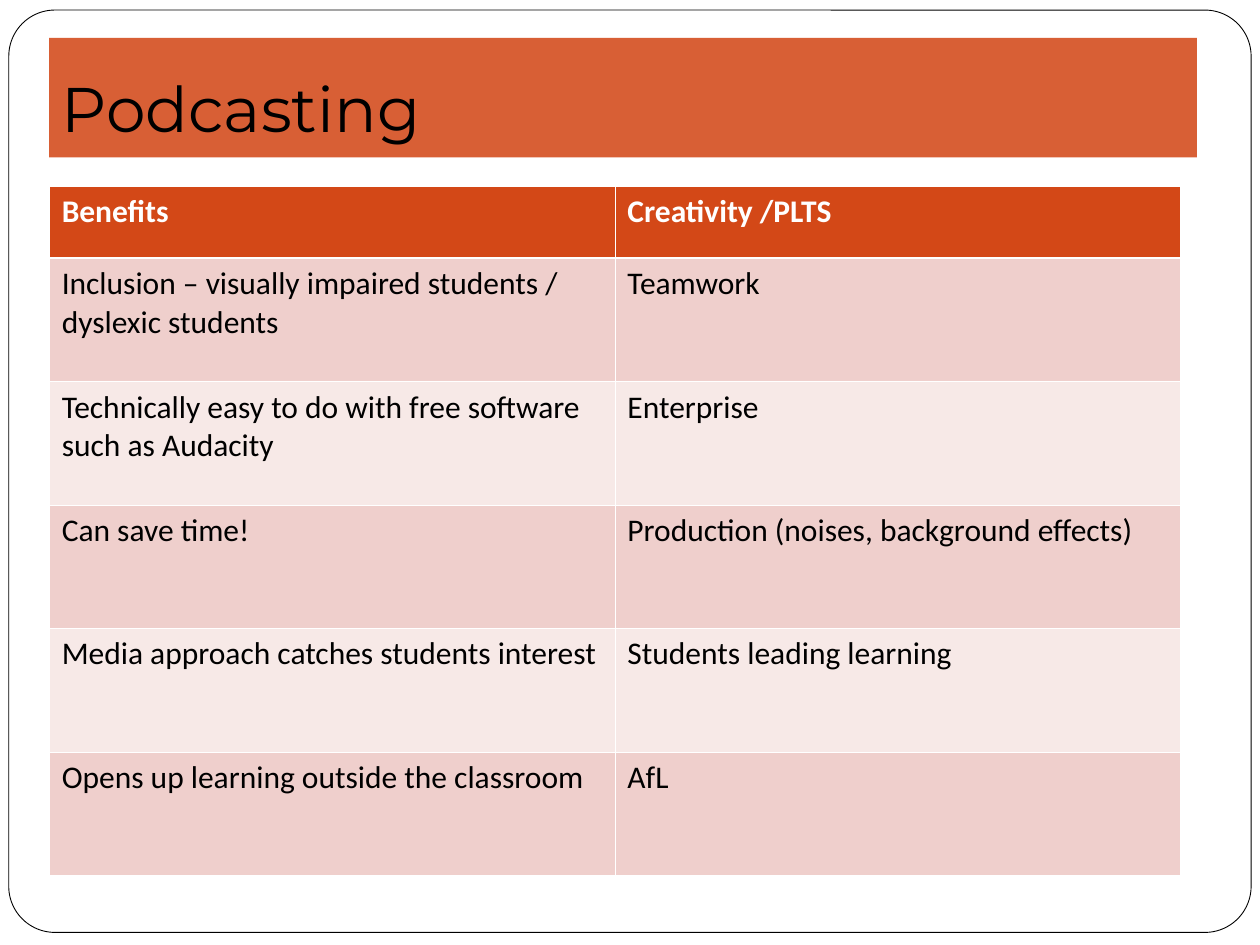
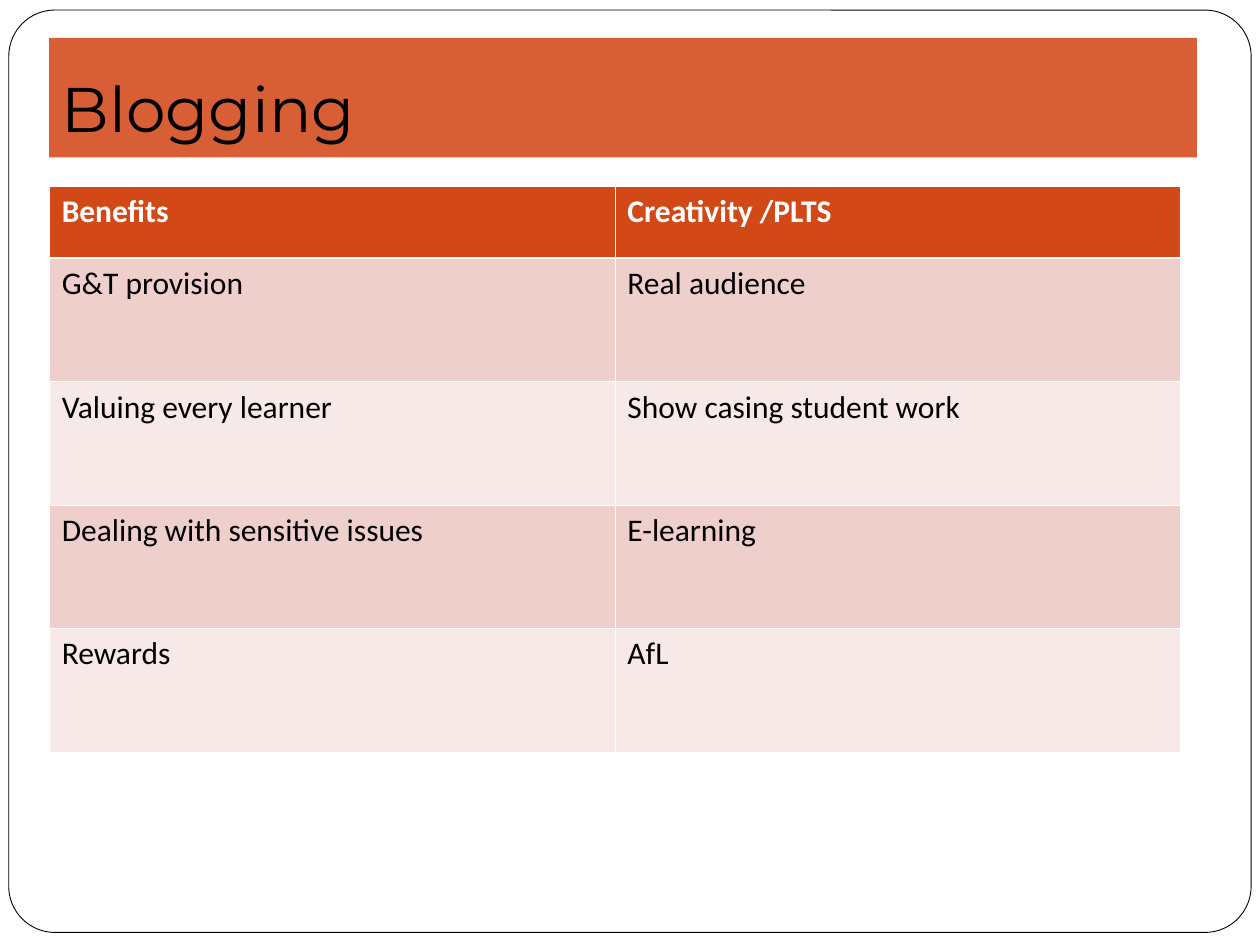
"""Build two slides that set out the benefits of podcasting and blogging."""
import lxml.etree
import pptx
import pptx.dml.color
import pptx.enum.shapes
import pptx.enum.text
import pptx.oxml.ns
import pptx.util

Inches = pptx.util.Inches
Pt = pptx.util.Pt
RGBColor = pptx.dml.color.RGBColor
qn = pptx.oxml.ns.qn

ORANGE = RGBColor(0xD3, 0x48, 0x17)
ROSE = RGBColor(0xEF, 0xCF, 0xCC)
PALE_ROSE = RGBColor(0xF7, 0xE9, 0xE7)
WHITE = RGBColor(0xFF, 0xFF, 0xFF)
BLACK = RGBColor(0x00, 0x00, 0x00)

LEFT = Inches(0.39)
COLUMN_WIDTH = Inches(4.49)
HEADER_HEIGHT = Inches(0.57)
ROW_HEIGHT = Inches(0.98)
THIN, THICK = Pt(0.45), Pt(1.47)

HEADINGS = ("Benefits", "Creativity /PLTS")
TOPICS = {
    "Podcasting": [
        ("Inclusion – visually impaired students / dyslexic students", "Teamwork"),
        ("Technically easy to do with free software such as Audacity", "Enterprise"),
        ("Can save time!", "Production (noises, background effects)"),
        ("Media approach catches students interest", "Students leading learning"),
        ("Opens up learning outside the classroom", "AfL"),
    ],
    "Blogging": [
        ("G&T provision", "Real audience"),
        ("Valuing every learner", "Show casing student work"),
        ("Dealing with sensitive issues", "E-learning"),
        ("Rewards", "AfL"),
    ],
}


def add_run(paragraph, text, font_name, size, color, bold=False):
    run = paragraph.add_run()
    run.text = text
    run.font.name = font_name
    run.font.size = Pt(size)
    run.font.bold = bold
    run.font.color.rgb = color


def add_border(cell, side, width):
    line = lxml.etree.SubElement(cell._tc.get_or_add_tcPr(), qn(f"a:ln{side}"), w=str(width))
    fill = lxml.etree.SubElement(line, qn("a:solidFill"))
    lxml.etree.SubElement(fill, qn("a:srgbClr"), val=str(WHITE))


prs = pptx.Presentation()
prs.slide_width = Inches(10)
prs.slide_height = Inches(7.5)

for topic, points in TOPICS.items():
    slide = prs.slides.add_slide(prs.slide_layouts[5])

    frame = slide.shapes.add_shape(
        pptx.enum.shapes.MSO_SHAPE.ROUNDED_RECTANGLE,
        Inches(0.07), Inches(0.08), Inches(9.86), Inches(7.32))
    frame.adjustments[0] = 0.05
    frame.shadow.inherit = False
    frame.fill.solid()
    frame.fill.fore_color.rgb = WHITE
    frame.line.color.rgb = BLACK
    frame.line.width = Pt(0.5)
    slide.shapes._spTree.insert(2, frame._element)

    title = slide.shapes.title
    title.left, title.top = LEFT, Inches(0.3)
    title.width, title.height = Inches(9.11), Inches(0.95)
    title.fill.solid()
    title.fill.fore_color.rgb = ORANGE
    band_color = title._element.spPr.find(".//" + qn("a:srgbClr"))
    lxml.etree.SubElement(band_color, qn("a:alpha"), val="87000")
    title_text = title.text_frame
    title_text.auto_size = pptx.enum.text.MSO_AUTO_SIZE.NONE
    title_text.vertical_anchor = pptx.enum.text.MSO_ANCHOR.BOTTOM
    title_text.margin_left = title_text.margin_right = title_text.margin_bottom = Inches(0.1)
    title_text.margin_top = Inches(0.05)
    title_text.paragraphs[0].alignment = pptx.enum.text.PP_ALIGN.LEFT
    add_run(title_text.paragraphs[0], topic, "Montserrat", 36, BLACK)

    rows = [HEADINGS, *points]
    benefits = slide.shapes.add_table(
        len(rows), len(HEADINGS), LEFT, Inches(1.48),
        COLUMN_WIDTH * len(HEADINGS), HEADER_HEIGHT + ROW_HEIGHT * len(points)).table
    for column in benefits.columns:
        column.width = COLUMN_WIDTH

    for row_index, row in enumerate(rows):
        is_header = row_index == 0
        benefits.rows[row_index].height = HEADER_HEIGHT if is_header else ROW_HEIGHT
        row_fill = ORANGE if is_header else ROSE if row_index % 2 else PALE_ROSE
        for column_index, text in enumerate(row):
            cell = benefits.cell(row_index, column_index)
            add_border(cell, "L", THIN)
            add_border(cell, "R", THIN)
            add_border(cell, "T", THICK if row_index == 1 else THIN)
            add_border(cell, "B", THICK if is_header else THIN)
            cell.fill.solid()
            cell.fill.fore_color.rgb = row_fill
            add_run(cell.text_frame.paragraphs[0], text, "Calibri", 18,
                    WHITE if is_header else BLACK, is_header)

prs.save("out.pptx")
